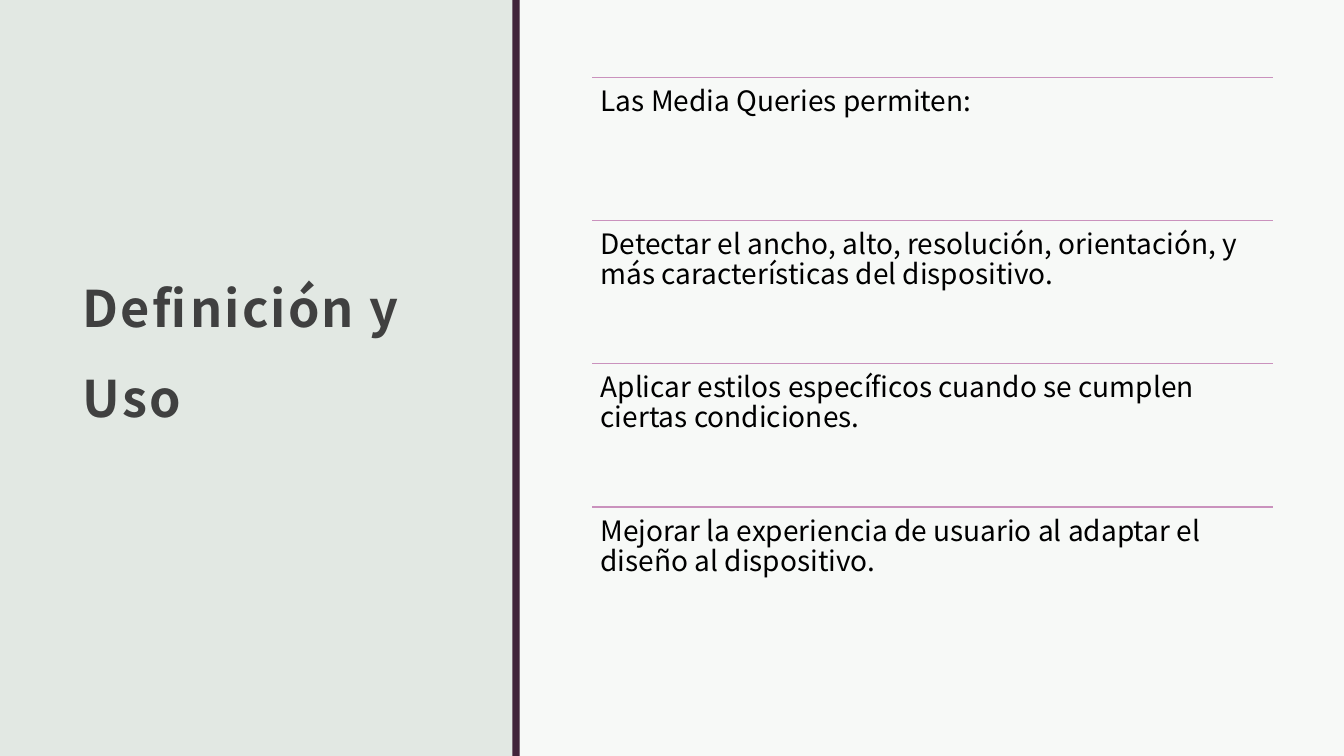
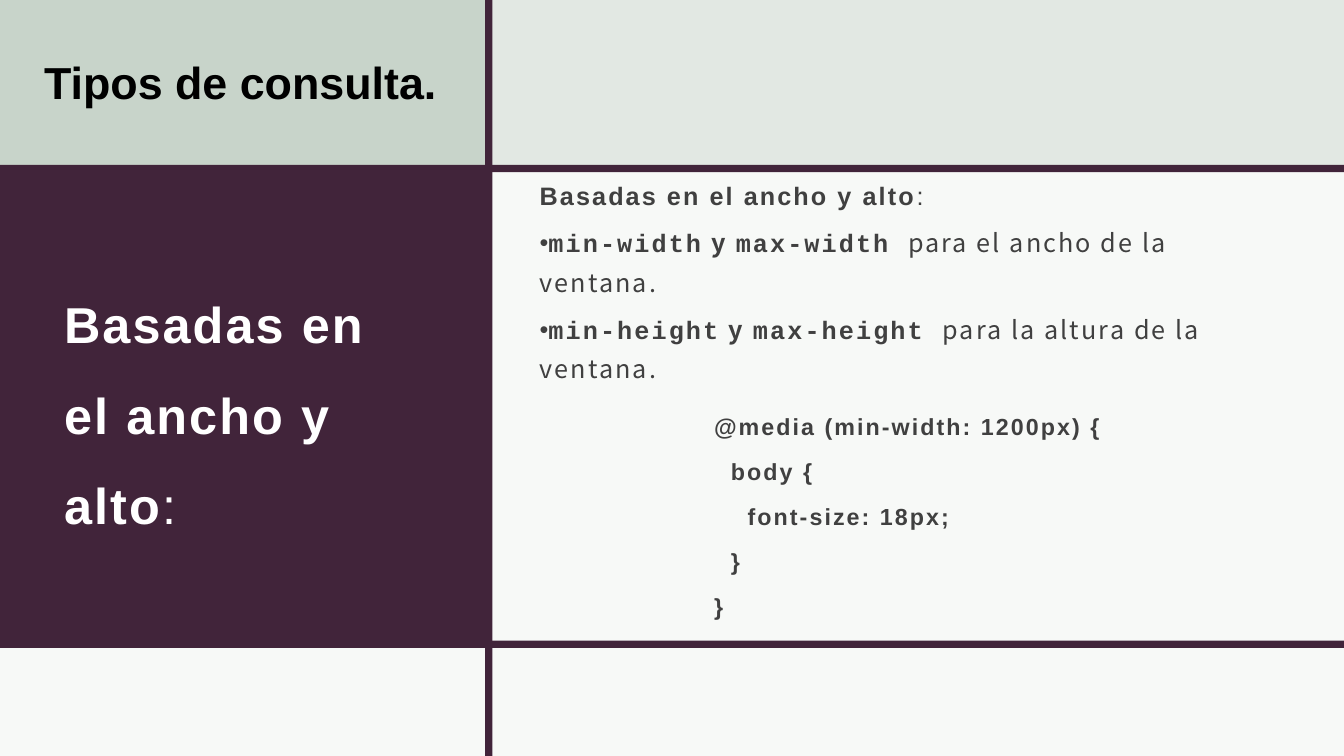
"""Build two slides that explain CSS media queries."""
import pptx
import pptx.dml.color
import pptx.enum.shapes
import pptx.enum.text
import pptx.oxml.ns
import pptx.util
import lxml.etree

RGB = pptx.dml.color.RGBColor
PALE = RGB(0xE2, 0xE8, 0xE3)
SAGE = RGB(0xC8, 0xD4, 0xCA)
PLUM = RGB(0x41, 0x24, 0x3A)
PINK = RGB(0xCA, 0x92, 0xBD)
GRAY = RGB(0x40, 0x40, 0x40)
WHITE = RGB(0xFF, 0xFF, 0xFF)
BLACK = RGB(0, 0, 0)
SANS = "Noto Sans CJK JP"
ARIAL = "Arial"
MONO = "Courier New"
WIDE, HIGH = 1280, 720
BAR = 7
TOP = pptx.enum.text.MSO_ANCHOR.TOP
MID = pptx.enum.text.MSO_ANCHOR.MIDDLE


def px(*nums):
    return [pptx.util.Emu(n * 9525) for n in nums]


def sub(node, tag, **attrs):
    return lxml.etree.SubElement(node, pptx.oxml.ns.qn(tag), **attrs)


class Deck:
    def __init__(self):
        self.prs = pptx.Presentation()
        self.prs.slide_width, self.prs.slide_height = px(WIDE, HIGH)
        self.slide = None

    def page(self):
        self.slide = self.prs.slides.add_slide(self.prs.slide_layouts[6])
        fill = self.slide.background.fill
        fill.solid()
        fill.fore_color.rgb = PALE

    def rect(self, x, y, w, h, color, alpha=100):
        kind = pptx.enum.shapes.MSO_SHAPE.RECTANGLE
        shape = self.slide.shapes.add_shape(kind, *px(x, y, w, h))
        shape.shadow.inherit = False
        shape.line.fill.background()
        shape.fill.solid()
        shape.fill.fore_color.rgb = color
        if alpha < 100:
            tone = shape.fill._xPr.find(".//" + pptx.oxml.ns.qn("a:srgbClr"))
            sub(tone, "a:alpha", val=str(alpha * 1000))

    def glass(self, x, y, w, h):
        self.rect(x, y, w, h, WHITE, 75)

    def row_bar(self, y):
        self.rect(0, y, WIDE, BAR, PLUM)

    def col_bar(self, x):
        self.rect(x, 0, BAR, HIGH, PLUM)

    def rule(self, x, y, w):
        kind = pptx.enum.shapes.MSO_CONNECTOR.STRAIGHT
        line = self.slide.shapes.add_connector(kind, *px(x, y, x + w, y))
        line.line.color.rgb = PINK
        line.line.width = pptx.util.Pt(1)
        sub(line._element.spPr, "a:effectLst")

    def frame(self, x, y, w, h, pads=(10, 5, 10, 5), anchor=TOP):
        frame = self.slide.shapes.add_textbox(*px(x, y, w, h)).text_frame
        frame.word_wrap = True
        frame.vertical_anchor = anchor
        (frame.margin_left, frame.margin_top,
         frame.margin_right, frame.margin_bottom) = px(*pads)
        return frame

    def para(self, frame, runs, size, color, lead=None, track=0,
             dent=0, dot=False, first=False):
        para = frame.paragraphs[0] if first else frame.add_paragraph()
        para.space_after = pptx.util.Pt(6)
        if lead:
            para.line_spacing = pptx.util.Pt(lead)
        if dent or dot:
            props = para._p.get_or_add_pPr()
            props.set("marL", str(px(dent)[0]))
            props.set("indent", "0")
        if dot:
            sub(props, "a:buFont", typeface=ARIAL)
            sub(props, "a:buChar", char="•")
        for text, face, bold in runs:
            run = para.add_run()
            run.text = text
            run.font.name = face
            run.font.size = pptx.util.Pt(size)
            run.font.bold = bold
            run.font.color.rgb = color
            if track:
                run._r.get_or_add_rPr().set("spc", str(track))

    def title(self, x, y, w, h, runs, color):
        frame = self.frame(x, y, w, h, (12, 12, 12, 10), MID)
        self.para(frame, runs, 36, color, 64.5, 150, first=True)

    def item(self, x, y, w, h, text):
        self.rule(x, y, w)
        frame = self.frame(x, y, w, h, (8, 9, 8, 8))
        self.para(frame, [(text, SANS, False)], 20, BLACK, 21.5, first=True)


def uses(deck):
    deck.page()
    deck.glass(495, 0, WIDE - 495, HIGH)
    deck.col_bar(488)
    deck.title(67, 74, 358, 493, [("Definición y Uso", SANS, True)], GRAY)
    items = (
        "Las Media Queries permiten:",
        "Detectar el ancho, alto, resolución, orientación, y más "
        "características del dispositivo.",
        "Aplicar estilos específicos cuando se cumplen ciertas condiciones.",
        "Mejorar la experiencia de usuario al adaptar el diseño al "
        "dispositivo.",
    )
    for i, text in enumerate(items):
        deck.item(564, 74 + 409 * i // 3, 648, 136, text)


def types(deck):
    deck.page()
    deck.rect(0, 157, 465, 459, PLUM)
    head = [("Basadas en el ancho y alto", ARIAL, True), (":", ARIAL, False)]
    deck.title(49, 188, 358, 382, head, WHITE)
    deck.rect(0, 0, 465, 159, SAGE)
    deck.glass(465, 159, WIDE - 465, 457)
    deck.row_bar(157)
    deck.glass(0, 615, WIDE, 105)
    deck.row_bar(610)
    deck.col_bar(462)

    body = deck.frame(504, 158, 675, 228)
    deck.para(body, head, 18, GRAY, 28, 150, first=True)
    for side, noun in (("width", "el ancho"), ("height", "la altura")):
        runs = [("min-" + side, MONO, True), (" y ", SANS, True),
                ("max-" + side + " ", MONO, True),
                ("para " + noun + " de la ventana.", SANS, False)]
        deck.para(body, runs, 18, GRAY, 28, 150, dot=True)

    code = deck.frame(670, 380, 600, 228)
    lines = ((0, "@media (min-width: 1200px) {"), (1, "body {"),
             (2, "font-size: 18px;"), (1, "}"), (0, "}"))
    for i, (level, text) in enumerate(lines):
        deck.para(code, [(text, ARIAL, True)], 16.6, GRAY, 26, 150,
                  dent=16 * level, first=i == 0)

    name = deck.frame(32, 47, 400, 61)
    deck.para(name, [("Tipos de consulta.", ARIAL, True)], 32, BLACK,
              first=True)


def main():
    deck = Deck()
    uses(deck)
    types(deck)
    deck.prs.save("out.pptx")


if __name__ == "__main__":
    main()
